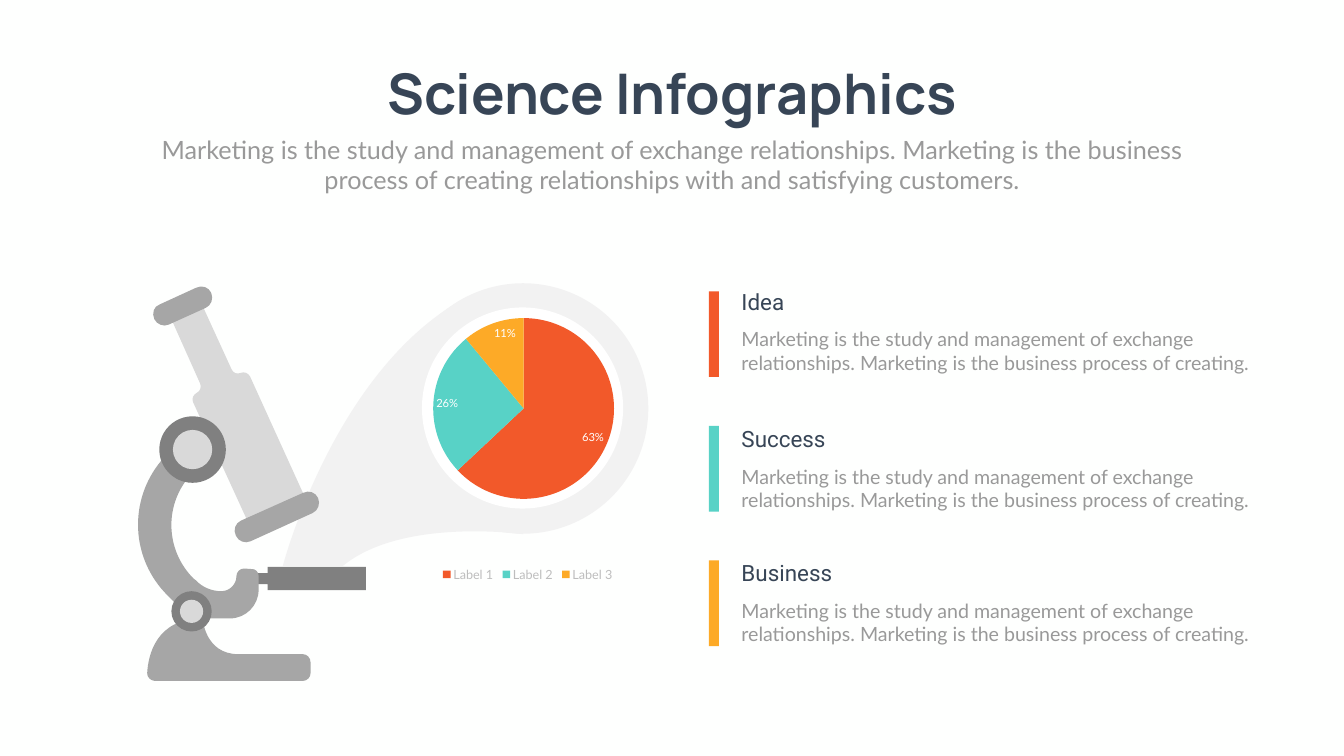
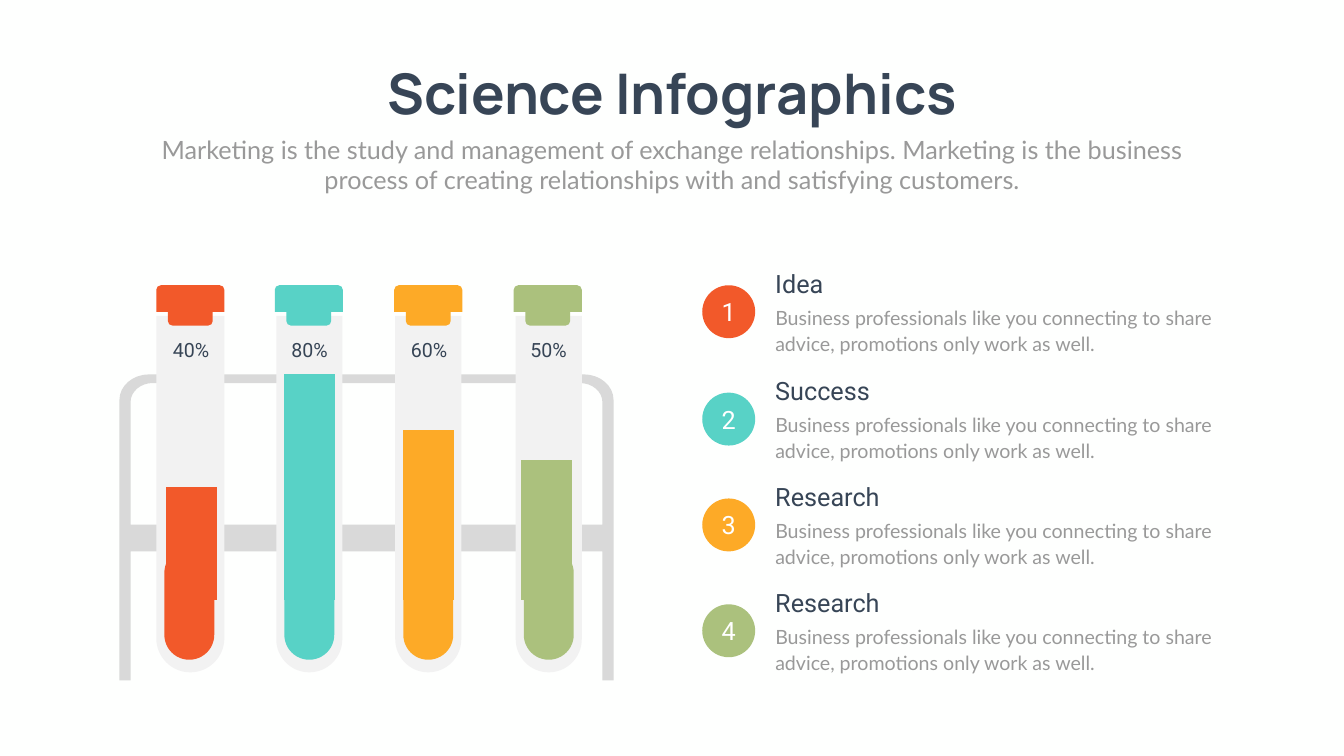
from lxml.etree import SubElement
from pptx import Presentation
from pptx.chart.data import CategoryChartData as ChartData
from pptx.dml.color import RGBColor
from pptx.enum.chart import XL_CHART_TYPE as Kind, XL_LABEL_POSITION as Spot, XL_LEGEND_POSITION as Side
from pptx.enum.shapes import MSO_SHAPE as Form
from pptx.enum.text import MSO_ANCHOR as Anchor, MSO_AUTO_SIZE as Fit, PP_ALIGN as Align
from pptx.oxml import parse_xml
from pptx.oxml.ns import qn
from pptx.util import Cm, Pt

INK, MUTED, WHITE = "374556", "999999", "FFFFFF"
PALE, LIGHT, MID, DARK = "F2F2F2", "D9D9D9", "A6A6A6", "808080"
HUES = ("F2592A", "58D2C6", "FDAA27", "ABC17D")

TITLE = "Science Infographics"
INTRO = ("Marketing is the study and management of exchange relationships. "
         "Marketing is the business process of creating relationships with and satisfying customers.")
STUDY = ("Marketing is the study and management of exchange relationships. "
         "Marketing is the business process of creating.")
ADVICE = "Business professionals like you connecting to share advice, promotions only work as well."

TOPICS = [("Idea", 5.66), ("Success", 8.39), ("Business", 11.05)]
STEPS = [("Idea", 5.27), ("Success", 7.4), ("Research", 9.5), ("Research", 11.6)]
SHARES = [("Label 1", 63), ("Label 2", 26), ("Label 3", 11)]
LEVELS = [("1", 50), ("2", 100), ("3", 75), ("4", 62)]
TUBES = [("40%", 3.1, 3.1, 1.35), ("80%", 5.45, 5.48, 1.31),
         ("60%", 7.82, 7.84, 1.31), ("50%", 10.19, 10.23, 1.31)]

BEAM = [(5.61, 11.23), (5.61, 11.23, 6.62, 7.35, 9.21, 5.92), (10.38, 10.6),
        (10.38, 10.6, 7.98, 10.26, 6.8, 11.23)]
BARREL = [(3.97, 7.61), (3.34, 6.2), (3.95, 5.92), (4.59, 7.32),
          (4.62, 7.4, 4.7, 7.43, 4.77, 7.4), (4.85, 7.37, 4.92, 7.4, 4.96, 7.47),
          (6.15, 10.09), (5.03, 10.6), (3.83, 7.98),
          (3.8, 7.91, 3.83, 7.83, 3.91, 7.79), (3.97, 7.76, 4, 7.68, 3.97, 7.61)]
LENS = [(4.97, 10.74), (6.2, 10.18), (6.31, 10.13, 6.36, 10, 6.31, 9.88),
        (6.26, 9.77, 6.13, 9.72, 6.01, 9.78), (4.78, 10.33),
        (4.67, 10.38, 4.62, 10.51, 4.68, 10.63), (4.73, 10.74, 4.86, 10.79, 4.97, 10.74)]
EYE = [(3.35, 6.44), (4.08, 6.11), (4.19, 6.06, 4.24, 5.93, 4.19, 5.81),
       (4.14, 5.7, 4.01, 5.65, 3.89, 5.71), (3.17, 6.04),
       (3.05, 6.08, 3.01, 6.21, 3.06, 6.33), (3.11, 6.44, 3.25, 6.49, 3.35, 6.44)]
STAGE = [(4.83, 11.37), (5.31, 11.37), (5.31, 11.25), (7.26, 11.25),
         (7.26, 11.71), (5.31, 11.71), (5.31, 11.59), (4.83, 11.59)]
FOOT = [(6.01, 13.51), (3.07, 13.51), (2.99, 13.51, 2.91, 13.43, 2.92, 13.35),
        (2.94, 13.01, 3.09, 12.27, 4.02, 12.27), (4.02, 12.27, 4.06, 12.98, 4.73, 12.98),
        (6.01, 12.98), (6.09, 12.98, 6.16, 13.05, 6.16, 13.14),
        (6.16, 13.36), (6.16, 13.44, 6.09, 13.51, 6.01, 13.51)]
ARM = [(5.13, 11.43), (5.13, 11.7), (5.13, 12.01, 4.88, 12.27, 4.56, 12.27),
       (3.77, 12.27), (3.33, 11.82), (2.59, 11.09, 2.54, 9.93, 3.2, 9.14),
       (3.49, 8.79), (3.63, 8.62, 3.91, 8.65, 4.01, 8.85),
       (4.07, 8.96, 4.06, 9.1, 3.97, 9.2), (3.75, 9.46),
       (3.25, 10.05, 3.29, 10.93, 3.84, 11.48), (3.88, 11.51),
       (4.01, 11.65, 4.2, 11.73, 4.39, 11.73), (4.55, 11.73, 4.69, 11.6, 4.69, 11.43),
       (4.69, 11.35, 4.76, 11.28, 4.84, 11.28), (4.98, 11.29),
       (5.07, 11.28, 5.13, 11.35, 5.13, 11.43)]
SCOPE = [(BEAM, PALE), (BARREL, LIGHT), (LENS, MID), (EYE, MID),
         (STAGE, DARK), (FOOT, MID), (ARM, MID)]
DISCS = [(3.16, 8.26, 1.32, DARK), (3.43, 8.53, 0.78, LIGHT),
         (3.4, 11.73, 0.8, DARK), (3.57, 11.9, 0.46, LIGHT),
         (7.89, 5.62, 4.97, PALE), (8.37, 6.1, 3.99, WHITE)]

WINDOW = [(3.03, 7.6), (2.79, 7.6, 2.59, 7.77, 2.59, 7.98), (2.59, 10.41),
          (11.95, 10.41), (11.95, 7.98), (11.95, 7.77, 11.75, 7.6, 11.5, 7.6)]
FRAME = [(2.95, 7.43), (11.59, 7.43), (11.91, 7.43, 12.17, 7.66, 12.17, 7.93),
         (12.17, 13.5), (11.95, 13.5), (11.95, 10.94), (2.59, 10.94), (2.59, 13.5),
         (2.37, 13.5), (2.37, 7.93), (2.37, 7.66, 2.63, 7.43, 2.95, 7.43)]
CAP = [(0.09, 0), (1.26, 0), (1.31, 0, 1.35, 0.04, 1.35, 0.09), (1.35, 0.53),
       (1.12, 0.53), (1.12, 0.71), (1.12, 0.76, 1.08, 0.8, 1.03, 0.8), (0.32, 0.8),
       (0.27, 0.8, 0.23, 0.76, 0.23, 0.71), (0.23, 0.53), (0, 0.53), (0, 0.09),
       (0, 0.04, 0.04, 0, 0.09, 0)]


def size(n):
    return Cm(n * 2.54)


def box(*nums):
    return [size(n) for n in nums]


def tint(code):
    return RGBColor.from_string(code)


def paint(shape, hue):
    shape.shadow.inherit = False
    shape.fill.solid()
    shape.fill.fore_color.rgb = tint(hue)
    shape.line.fill.background()
    return shape


def style(font, pts, face, hue, bold=False):
    font.size, font.name, font.bold = Pt(pts), face, bold
    font.color.rgb = tint(hue)


def write(shape, words, pts=28, face="Lato", hue=MUTED, bold=False,
          align=Align.LEFT, anchor=Anchor.TOP, wrap=True, lead=None):
    frame = shape.text_frame
    frame.auto_size, frame.word_wrap, frame.vertical_anchor = Fit.NONE, wrap, anchor
    para = frame.paragraphs[0]
    para.text, para.alignment = words, align
    if lead:
        para.line_spacing = Pt(lead)
    style(para.runs[0].font, pts, face, hue, bold)


def label(slide, at, words, **form):
    write(slide.shapes.add_textbox(*box(*at)), words, **form)


def add(slide, form, at, hue):
    return paint(slide.shapes.add_shape(form, *box(*at)), hue)


def trace(line, steps=16):
    dots = [line[0]]
    for part in line[1:]:
        if len(part) == 2:
            dots.append(part)
            continue
        a, b, c, d = dots[-1], part[:2], part[2:4], part[4:]
        for t in (i / steps for i in range(1, steps + 1)):
            u = 1 - t
            dots.append(tuple(u**3 * a[k] + 3 * u * u * t * b[k] + 3 * u * t * t * c[k] + t**3 * d[k]
                              for k in (0, 1)))
    return dots


def draw(slide, hue, *lines, dx=0, dy=0):
    xs, ys = zip(*(dot for line in lines for dot in trace(line)))
    left, top, wide, high = min(xs), min(ys), max(xs) - min(xs), max(ys) - min(ys)
    pen = slide.shapes.build_freeform(*box(left, top), scale=1.0)
    pen.add_line_segments([box(left + wide, top + high)])
    shape = paint(pen.convert_to_shape(), hue)
    shape.left, shape.top, shape.width, shape.height = box(left + dx, top + dy, wide, high)
    shell = shape._element.find(".//" + qn("a:path"))
    for old in list(shell):
        shell.remove(old)
    shell.set("w", str(size(wide)))
    shell.set("h", str(size(high)))
    for line in lines:
        for i, part in enumerate(line):
            name = "moveTo" if i == 0 else "lnTo" if len(part) == 2 else "cubicBezTo"
            step = SubElement(shell, qn("a:" + name))
            for x, y in zip(part[::2], part[1::2]):
                dot = SubElement(step, qn("a:pt"))
                dot.set("x", str(size(x - left)))
                dot.set("y", str(size(y - top)))
        SubElement(shell, qn("a:close"))


def place(node, index, x, y, w, h, inner=False):
    for old in node.findall(qn("c:layout")):
        node.remove(old)
    layout = parse_xml('<c:layout xmlns:c="http://schemas.openxmlformats.org/drawingml/2006/chart"/>')
    node.insert(index, layout)
    manual = SubElement(layout, qn("c:manualLayout"))
    rows = [("layoutTarget", "inner")] if inner else []
    rows += [("xMode", "edge"), ("yMode", "edge"), ("x", x), ("y", y), ("w", w), ("h", h)]
    for name, val in rows:
        SubElement(manual, qn("c:" + name)).set("val", str(val))


def plot(slide, kind, at, rows, area, face):
    data = ChartData()
    data.categories = [name for name, _ in rows]
    data.add_series("Series 1", [val for _, val in rows])
    chart = slide.shapes.add_chart(kind, *box(*at), data).chart
    chart.has_title = chart.has_legend = False
    style(chart.font, 10, face, MUTED)
    place(chart._chartSpace.chart.plotArea, 0, *area, inner=True)
    for i in range(len(rows)):
        fill = chart.plots[0].series[0].points[i].format.fill
        fill.solid()
        fill.fore_color.rgb = tint(HUES[i])
    return chart


def start(deck):
    slide = deck.slides.add_slide(deck.slide_layouts[5])
    title = slide.shapes.title
    title.left, title.top, title.width, title.height = box(7.17, 1.12, 12.33, 1.45)
    write(title, TITLE, pts=80, face="Manrope", hue=INK, bold=True, align=Align.CENTER, wrap=False)
    label(slide, (2.92, 2.61, 20.82, 1.31), INTRO, pts=36, align=Align.CENTER)
    return slide


def add_pie(slide):
    chart = plot(slide, Kind.PIE, (7.66, 5.9, 5.4, 5.88), SHARES, (0.17, 0.07, 0.67, 0.61), "Lato")
    chart.plots[0].vary_by_categories = True
    chart.has_legend = True
    legend = chart.legend
    legend.position, legend.include_in_layout = Side.TOP, False
    style(legend.font, 18, "Lato", "BDBDBD")
    place(legend._element, 1, 0.19, 0.9, 0.66, 0.07)
    marks = chart.plots[0].series[0].data_labels
    marks.show_percentage, marks.show_value = True, False
    marks.number_format, marks.number_format_is_linked = "0%", False
    marks.position = Spot.INSIDE_END
    style(marks.font, 16, "Lato", WHITE)


def add_bars(slide):
    chart = plot(slide, Kind.COLUMN_CLUSTERED, (2.42, 6.73, 9.8, 5.29), LEVELS,
                 (0.02, 0.13, 0.96, 0.85), "Calibri")
    bars = chart.plots[0]
    bars.vary_by_categories, bars.gap_width, bars.overlap = False, 132, 100
    axis = chart.value_axis
    axis.minimum_scale, axis.maximum_scale = 0, 100
    axis.has_major_gridlines = axis.visible = chart.category_axis.visible = False


def microscope(deck):
    slide = start(deck)
    for line, hue in SCOPE:
        draw(slide, hue, line)
    for x, y, wide, hue in DISCS:
        add(slide, Form.OVAL, (x, y, wide, wide), hue)
    add_pie(slide)
    for i, (head, top) in enumerate(TOPICS):
        add(slide, Form.RECTANGLE, (14.06, 5.78 + 2.67 * i, 0.2, 1.7), HUES[i])
        label(slide, (14.61, top, 3.93, 0.64), head, pts=32, face="Roboto", hue=INK)
        label(slide, (14.61, top + 0.78, 10.5, 1.04), STUDY)


def test_tubes(deck):
    slide = start(deck)
    draw(slide, LIGHT, WINDOW, FRAME)
    for (rate, cap, left, wide), hue in zip(TUBES, HUES):
        half = wide / 2
        bend = half * 0.55
        low, end, mid, right = 13.34 - half, 13.34, left + half, left + wide
        draw(slide, PALE, [(left, 6.27), (right, 6.27), (right, low),
                           (right, low + bend, mid + bend, end, mid, end),
                           (mid - bend, end, left, low + bend, left, low)])
        pill = add(slide, Form.ROUNDED_RECTANGLE, (left + 0.16, 10.87, 0.99, 2.22), hue)
        pill.adjustments[0] = 0.5
        draw(slide, hue, CAP, dx=cap, dy=5.66)
        label(slide, (cap - 0.09, 6.66, 1.56, 0.57), rate, face="Roboto", hue=INK,
              align=Align.CENTER, anchor=Anchor.MIDDLE)
    add_bars(slide)
    for i, (head, top) in enumerate(STEPS):
        label(slide, (15.28, top + 0.71, 9.01, 1.09), ADVICE, lead=36.6)
        label(slide, (15.28, top, 3.26, 0.71), head, pts=36, face="Roboto", hue=INK)
        disc = add(slide, Form.OVAL, (13.93, top + 0.39, 1.05, 1.05), HUES[i])
        write(disc, str(i + 1), pts=36, face="Roboto", hue=WHITE,
              align=Align.CENTER, anchor=Anchor.MIDDLE)


def main():
    deck = Presentation()
    deck.slide_width, deck.slide_height = box(26.66, 15)
    back = deck.slide_master.background.fill
    back.solid()
    back.fore_color.rgb = tint("FEFFFE")
    microscope(deck)
    test_tubes(deck)
    deck.save("out.pptx")


if __name__ == "__main__":
    main()
